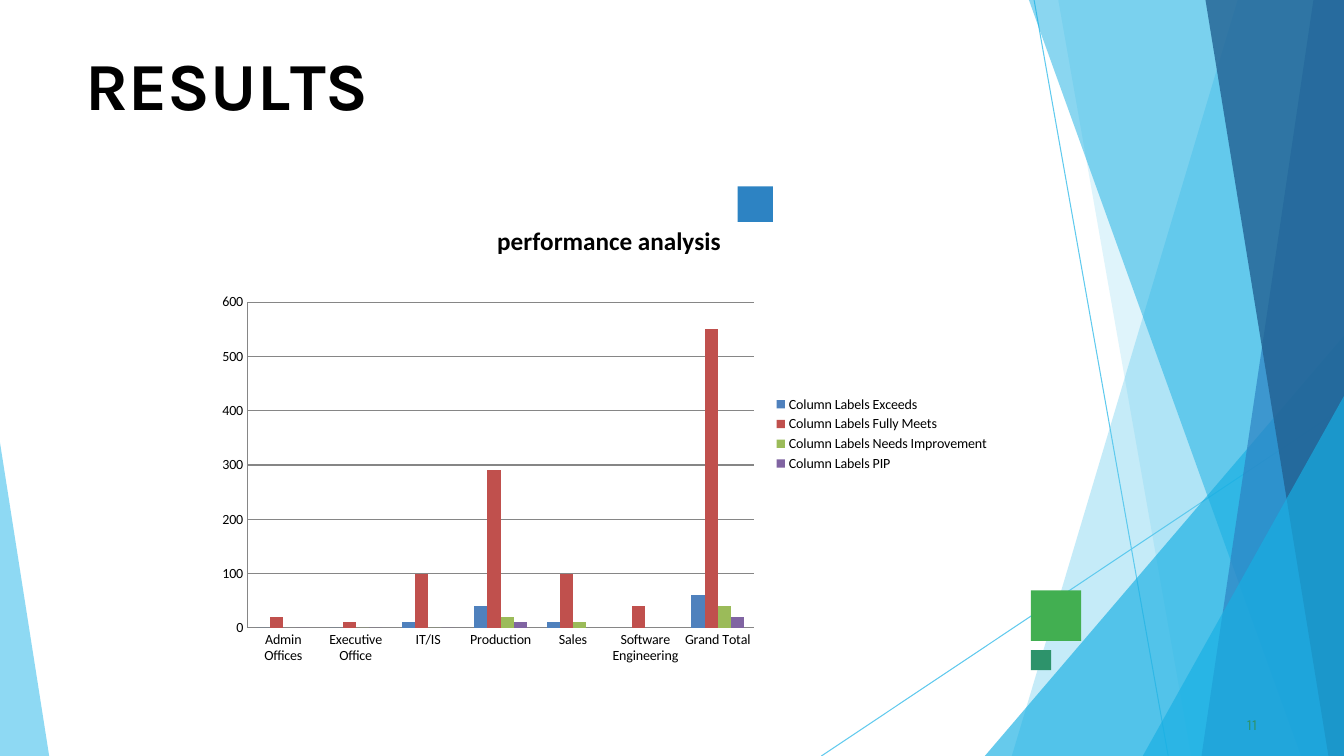
from dataclasses import dataclass

import pptx
import pptx.chart.data
import pptx.dml.color
import pptx.enum.chart
import pptx.enum.shapes
import pptx.oxml
import pptx.oxml.ns
import pptx.util
from lxml import etree

Cm = pptx.util.Cm
Pt = pptx.util.Pt
RGB = pptx.dml.color.RGBColor
qn = pptx.oxml.ns.qn

BLACK = RGB(0x00, 0x00, 0x00)
SKY = RGB(0x5F, 0xCA, 0xEE)
CYAN = RGB(0x17, 0xAF, 0xE3)
BLUE = RGB(0x2D, 0x83, 0xC3)
NAVY = RGB(0x22, 0x61, 0x92)
GREEN = RGB(0x42, 0xAF, 0x51)
TEAL = RGB(0x2D, 0x93, 0x6B)
GRAY = RGB(0x86, 0x86, 0x86)
WIDTH, HEIGHT = 33.87, 19.05


@dataclass
class Facet:
    points: list[tuple[float, float]]
    color: RGB
    alpha: int


@dataclass
class Square:
    left: float
    top: float
    size: float
    color: RGB


@dataclass
class Series:
    name: str
    values: list[int | None]
    color: RGB


def band(top: float, base: float, color: RGB, alpha: int) -> Facet:
    """Facet from a slanted edge to the right side of the slide."""
    return Facet([(WIDTH, 0), (top, 0), (base, HEIGHT), (WIDTH, HEIGHT)], color, alpha)


def wedge(side: float, top: float, base: float, color: RGB, alpha: int) -> Facet:
    """Triangle standing on the bottom edge against one side."""
    return Facet([(side, top), (base, HEIGHT), (side, HEIGHT)], color, alpha)


LINES = [(26.06, 0, 29.44, HEIGHT), (WIDTH, 10.26, 20.7, HEIGHT)]
FACETS = [
    band(31.19, 25.5, SKY, 36),
    band(26.67, 30.02, SKY, 20),
    wedge(WIDTH, 8.46, 24.82, CYAN, 66),
    band(25.93, 32.79, CYAN, 50),
    band(33.1, 30.28, BLUE, 70),
    band(30.38, 33.48, NAVY, 80),
    wedge(WIDTH, 9.98, 28.8, CYAN, 66),
    wedge(0, 11.15, 1.24, SKY, 70),
]
SQUARES = [
    Square(25.98, 14.88, 1.27, GREEN),
    Square(18.59, 4.7, 0.89, BLUE),
    Square(25.98, 16.38, 0.51, TEAL),
]
# Title letters with their spacing in hundredths of a point
TITLE = [("R", 0), ("E", -40), ("S", 10), ("U", -30), ("L", -400), ("TS", 0)]
UNITS = ["Admin Offices", "Executive Office", "IT/IS", "Production", "Sales",
         "Software Engineering", "Grand Total"]
SERIES = [
    Series("Exceeds", [0, 0, 10, 40, 10, None, 60], RGB(0x4F, 0x81, 0xBD)),
    Series("Fully Meets", [20, 10, 100, 290, 100, 40, 550], RGB(0xC0, 0x50, 0x4D)),
    Series("Needs Improvement", [None, 0, 0, 20, 10, None, 40], RGB(0x9B, 0xBB, 0x59)),
    Series("PIP", [0, 0, 0, 10, None, None, 20], RGB(0x80, 0x64, 0xA2)),
]


def paint(shape, color: RGB) -> None:
    shape.shadow.inherit = False
    shape.fill.solid()
    shape.fill.fore_color.rgb = color
    shape.line.fill.background()


def draw_line(shapes, ends: tuple[float, float, float, float]) -> None:
    kind = pptx.enum.shapes.MSO_CONNECTOR.STRAIGHT
    line = shapes.add_connector(kind, *map(Cm, ends))
    line.line.color.rgb = SKY
    line.line.width = Pt(0.75)
    etree.SubElement(line._element.spPr, qn("a:effectLst"))


def draw_facet(shapes, facet: Facet) -> None:
    first, *rest = [(Cm(x), Cm(y)) for x, y in facet.points]
    pen = shapes.build_freeform(*first)
    pen.add_line_segments(rest, close=True)
    shape = pen.convert_to_shape()
    paint(shape, facet.color)
    tint = shape._element.spPr.find(qn("a:solidFill"))[0]
    etree.SubElement(tint, qn("a:alpha"), val=str(facet.alpha * 1000))


def draw_square(shapes, square: Square) -> None:
    kind = pptx.enum.shapes.MSO_SHAPE.RECTANGLE
    box = (square.left, square.top, square.size, square.size)
    paint(shapes.add_shape(kind, *map(Cm, box)), square.color)


def draw_text(shapes, box: tuple[float, float, float, float], runs: list[tuple[str, int]],
              size: int, color: RGB, bold: bool, indent: int) -> None:
    frame = shapes.add_textbox(*map(Cm, box)).text_frame
    frame.word_wrap = True
    frame.margin_left = frame.margin_right = frame.margin_bottom = 0
    frame.margin_top = Cm(0.03)
    para = frame.paragraphs[0]
    para.space_before = Pt(1)
    para._p.get_or_add_pPr().set("marL", str(Pt(indent)))
    font = para.font
    font.name, font.size, font.bold = "Karla", Pt(size), bold
    font.color.rgb = color
    for text, gap in runs:
        run = para.add_run()
        run.text = text
        run._r.get_or_add_rPr().set("spc", str(gap))


def place(owner, **parts: float | str) -> None:
    """Give a chart part a manual layout."""
    old = owner.find(qn("c:layout"))
    if old is not None:
        owner.remove(old)
    layout = etree.Element(qn("c:layout"))
    manual = etree.SubElement(layout, qn("c:manualLayout"))
    for name, value in parts.items():
        etree.SubElement(manual, qn("c:" + name), val=str(value))
    text = owner.find(qn("c:tx"))
    owner.insert(0 if text is None else 1, layout)


def draw_chart(shapes) -> None:
    kinds = pptx.enum.chart
    data = pptx.chart.data.CategoryChartData()
    data.categories = UNITS
    for item in SERIES:
        data.add_series("Column Labels " + item.name, item.values)
    box = map(Cm, (5.23, 4.9, 19.96, 12.07))
    chart = shapes.add_chart(kinds.XL_CHART_TYPE.COLUMN_CLUSTERED, *box, data).chart
    chart.font.name, chart.font.size = "Calibri", Pt(10)
    chart.font.color.rgb = BLACK

    # Title and legend
    chart.has_title = True
    head = chart.chart_title
    head.include_in_layout = False
    para = head.text_frame.paragraphs[0]
    para.text = "performance analysis"
    para.font.name, para.font.size, para.font.bold = "Calibri", Pt(18), True
    para.font.color.rgb = BLACK
    chart.has_legend = True
    chart.legend.position = kinds.XL_LEGEND_POSITION.RIGHT
    chart.legend.include_in_layout = False

    # Bars and axes
    plot = chart.plots[0]
    plot.gap_width, plot.overlap, plot.vary_by_categories = 150, 0, False
    for bars, item in zip(plot.series, SERIES):
        bars.format.fill.solid()
        bars.format.fill.fore_color.rgb = item.color
    for axis in (chart.category_axis, chart.value_axis):
        axis.major_tick_mark = kinds.XL_TICK_MARK.NONE
        axis.format.line.color.rgb = GRAY
    scale = chart.value_axis
    scale.minimum_scale, scale.maximum_scale, scale.major_unit = 0, 600, 100
    scale.major_gridlines.format.line.color.rgb = GRAY

    # Layout
    place(head._element, xMode="edge", yMode="edge", x=0.36, y=0.05)
    area = chart._chartSpace.chart.plotArea
    place(area, layoutTarget="inner", xMode="edge", yMode="edge",
          x=0.05, y=0.225, w=0.64, h=0.68)


def main() -> None:
    deck = pptx.Presentation()
    deck.slide_width, deck.slide_height = Cm(WIDTH), Cm(HEIGHT)
    shapes = deck.slides.add_slide(deck.slide_layouts[6]).shapes

    # Backdrop
    for ends in LINES:
        draw_line(shapes, ends)
    for facet in FACETS:
        draw_facet(shapes, facet)
    for square in SQUARES:
        draw_square(shapes, square)

    # Content
    draw_text(shapes, (2.11, 1.07, 7.95, 2.06), TITLE, 48, BLACK, True, 1)
    draw_text(shapes, (31.32, 17.98, 0.64, 0.53), [("11", 10)], 11, TEAL, False, 3)
    draw_chart(shapes)
    deck.save("out.pptx")


if __name__ == "__main__":
    main()
